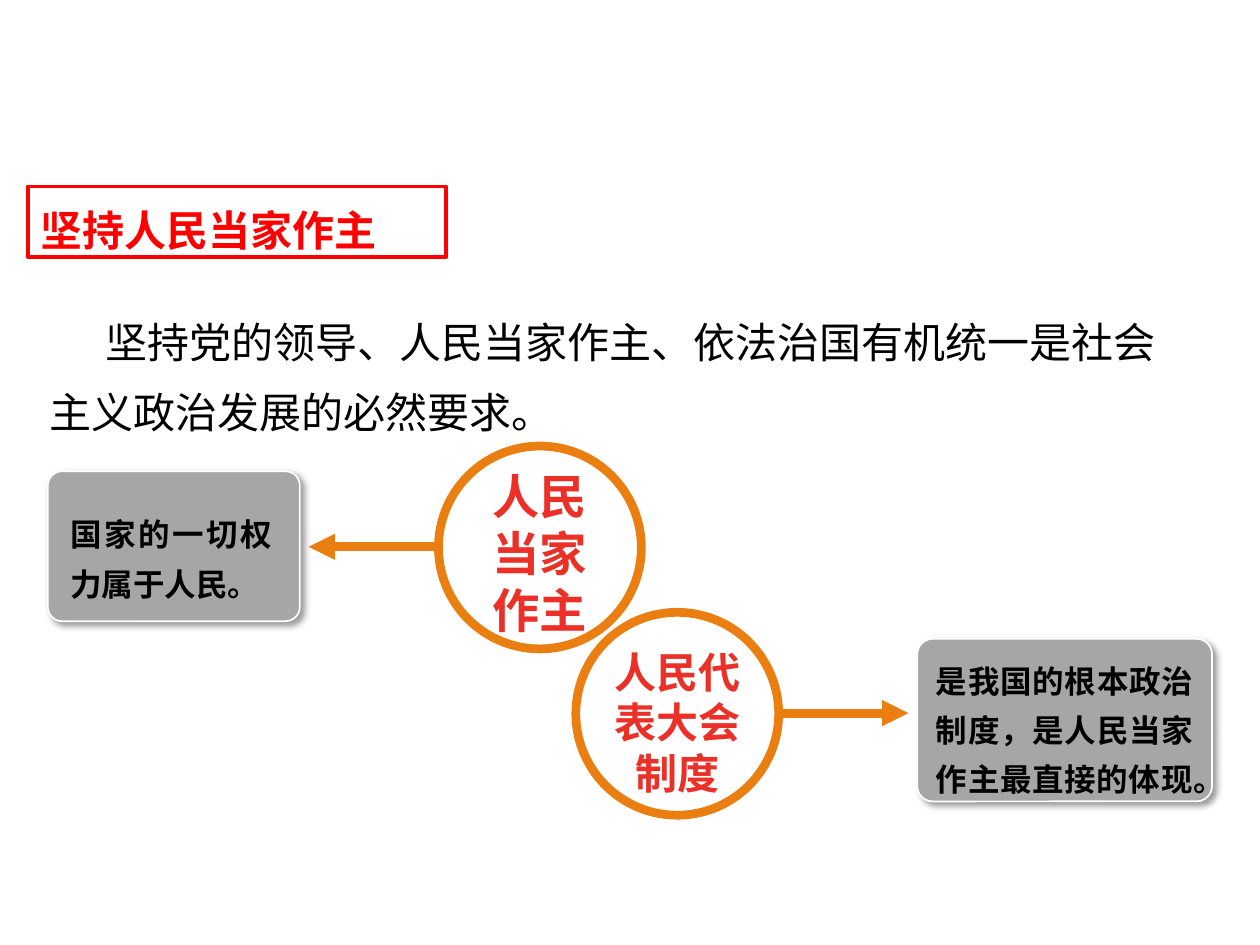
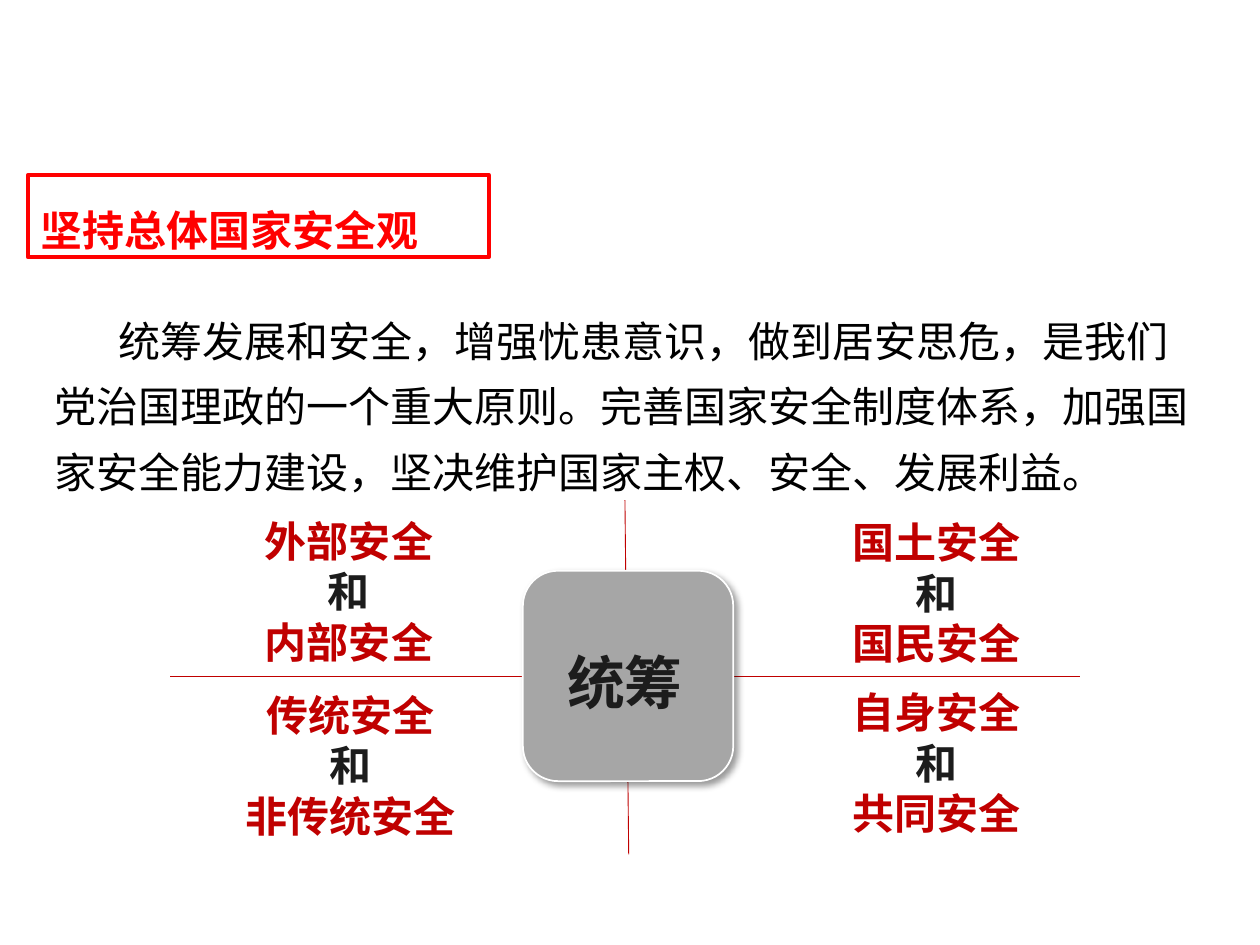
from lxml import etree
from pptx import Presentation
from pptx.dml.color import RGBColor
from pptx.enum.shapes import MSO_CONNECTOR, MSO_SHAPE
from pptx.enum.text import MSO_ANCHOR, MSO_AUTO_SIZE, PP_ALIGN
from pptx.oxml.ns import qn
from pptx.util import Pt

OVAL, ROUNDED = MSO_SHAPE.OVAL, MSO_SHAPE.ROUNDED_RECTANGLE
STRAIGHT = MSO_CONNECTOR.STRAIGHT
TOP, BOTTOM = MSO_ANCHOR.TOP, MSO_ANCHOR.BOTTOM
LEFT, CENTER, JUSTIFY = PP_ALIGN.LEFT, PP_ALIGN.CENTER, PP_ALIGN.JUSTIFY

PX = 9144  # 100 px to the inch
THEME = {
    "cjk": "Noto Sans CJK SC", "latin": "Arial",
    "title": "FF0000", "black": "000000", "ink": "1C1C1C", "white": "FFFFFF",
    "orange": "EA7E11", "red": "EB3028", "deep_red": "C00000", "grey": "A6A6A6",
    "small": 18, "text": 24, "large": 27, "huge": 33, "leading": 1.2,
}
RGB = {k: RGBColor.from_string(v) for k, v in THEME.items()
       if isinstance(v, str) and len(v) == 6 and k not in ("cjk", "latin")}


def add_shadow(effects):
    shadow = etree.SubElement(effects, qn("a:outerShdw"), blurRad=str(Pt(4)),
                              dist=str(Pt(3)), dir="2700000", algn="tl", rotWithShape="0")
    clr = etree.SubElement(shadow, qn("a:srgbClr"), val=THEME["black"])
    etree.SubElement(clr, qn("a:alpha"), val="40000")


def write(sp, box, lines, size="text", font="cjk", bold=True, align=CENTER,
          spacing=1, anchor=TOP, indent=0, shadow=False):
    """Place a text holder and fill it with (text, colour) paragraphs."""
    sp.left, sp.top, sp.width, sp.height = [v * PX for v in box]
    tf = sp.text_frame
    frame = {"word_wrap": True, "auto_size": MSO_AUTO_SIZE.NONE, "vertical_anchor": anchor,
             "margin_left": 10 * PX, "margin_right": 10 * PX,
             "margin_top": 8 * PX, "margin_bottom": 2 * PX}
    for name, value in frame.items():
        setattr(tf, name, value)
    for i, (text, color) in enumerate(lines):
        p = tf.add_paragraph() if i else tf.paragraphs[0]
        pPr = p._p.get_or_add_pPr()
        pPr.set("marL", "0")
        pPr.set("indent", str(indent * PX))
        etree.SubElement(pPr, qn("a:buNone"))
        leading = Pt(THEME[size] * THEME["leading"] * spacing)
        for name, value in {"alignment": align, "line_spacing": leading,
                            "space_before": Pt(0)}.items():
            setattr(p, name, value)
        r = p.add_run()
        r.text = text
        for name, value in {"size": Pt(THEME[size]), "bold": bold,
                            "name": THEME[font]}.items():
            setattr(r.font, name, value)
        r.font.color.rgb = RGB[color]
        rPr = r._r.get_or_add_rPr()
        ea = etree.Element(qn("a:ea"), typeface=THEME["cjk"])
        rPr.find(qn("a:latin")).addnext(ea)
        if shadow:
            effects = etree.Element(qn("a:effectLst"))
            rPr.find(qn("a:solidFill")).addnext(effects)
            add_shadow(effects)


prs = Presentation()
prs.slide_width, prs.slide_height = 1000 * PX, 750 * PX

# Content of both slides: framed title, body, then lines, shapes and labels
SLIDES = [
    {
        "title": ("坚持人民当家作主", (22, 148, 332, 56)),
        "body": ("坚持党的领导、人民当家作主、依法治国有机统一是社会主义政治发展的必然要求。",
                 (29, 227, 929, 136), 1.4, 45),
        "lines": [((348, 434, 245, 434), "orange", 5, True),
                  ((618, 566, 721, 566), "orange", 5, True)],
        "shapes": [(OVAL, (348, 354, 161, 161), None),
                   (OVAL, (457, 486, 161, 161), None),
                   (ROUNDED, (38, 374, 200, 119), 0.095),
                   (ROUNDED, (728, 507, 234, 129), 0.095)],
        "labels": [
            ((374, 363, 109, 146), [("人民当家作主", "red")],
             {"size": "large", "font": "latin", "shadow": True}),
            ((462, 505, 151, 131), [("人民代表大会制度", "red")],
             {"font": "latin", "shadow": True}),
            ((46, 392, 180, 89), [("国家的一切权力属于人民。", "black")],
             {"size": "small", "font": "latin", "align": JUSTIFY, "spacing": 1.3}),
            ((733, 508, 224, 128),
             [("是我国的根本政治制度，是人民当家作主最直接的体现。", "black")],
             {"size": "small", "font": "latin", "align": JUSTIFY, "spacing": 1.3}),
        ],
    },
    {
        "title": ("坚持总体国家安全观", (22, 139, 366, 65)),
        "body": ("统筹发展和安全，增强忧患意识，做到居安思危，是我们党治国理政的一个重大原则。"
                 "完善国家安全制度体系，加强国家安全能力建设，坚决维护国家主权、安全、发展利益。",
                 (33, 230, 929, 178), 1.3, 51),
        "lines": [((496, 397, 499, 678), "deep_red", 0.5, False),
                  ((135, 537, 857, 537), "deep_red", 0.5, False)],
        "shapes": [(ROUNDED, (415, 453, 167, 167), 0.167)],
        "labels": [((404, 505, 184, 65), [("统筹", "ink")],
                    {"size": "huge", "font": "latin", "shadow": True})] + [
            ((x, y, 254, 131), [(first, "deep_red"), ("和", "ink"), (second, "deep_red")], {})
            for x, y, first, second in [
                (150, 401, "外部安全", "内部安全"), (616, 402, "国土安全", "国民安全"),
                (151, 539, "传统安全", "非传统安全"), (616, 537, "自身安全", "共同安全")]
        ],
    },
]

for page in SLIDES:
    s = prs.slides.add_slide(prs.slide_layouts[1])

    # Title in its red frame, and the body text
    text, box = page["title"]
    title = s.shapes.title
    write(title, box, [(text, "title")], align=LEFT, anchor=BOTTOM)
    title.line.color.rgb = RGB["title"]
    title.line.width = Pt(2.25)
    text, box, spacing, indent = page["body"]
    write(s.placeholders[1], box, [(text, "black")], bold=False, align=LEFT,
          spacing=spacing, indent=indent)

    # Arrows and dividing lines
    for ends, color, width, arrow in page["lines"]:
        c = s.shapes.add_connector(STRAIGHT, *[v * PX for v in ends])
        c.line.color.rgb = RGB[color]
        c.line.width = Pt(width)
        spPr = c.element.spPr
        if arrow:
            etree.SubElement(spPr.find(qn("a:ln")), qn("a:tailEnd"), type="triangle")
        etree.SubElement(spPr, qn("a:effectLst"))

    # Open orange rings and grey cards
    for kind, box, corner in page["shapes"]:
        sp = s.shapes.add_shape(kind, *[v * PX for v in box])
        sp.shadow.inherit = False
        if kind == OVAL:
            sp.fill.background()
            sp.line.color.rgb = RGB["orange"]
            sp.line.width = Pt(5)
        else:
            sp.adjustments[0] = corner
            sp.fill.solid()
            sp.fill.fore_color.rgb = RGB["grey"]
            sp.line.color.rgb = RGB["white"]
            sp.line.width = Pt(1)
            add_shadow(sp.element.spPr.find(qn("a:effectLst")))

    # Labels
    for box, lines, style in page["labels"]:
        write(s.shapes.add_textbox(0, 0, 0, 0), box, lines, **style)

prs.save("out.pptx")
